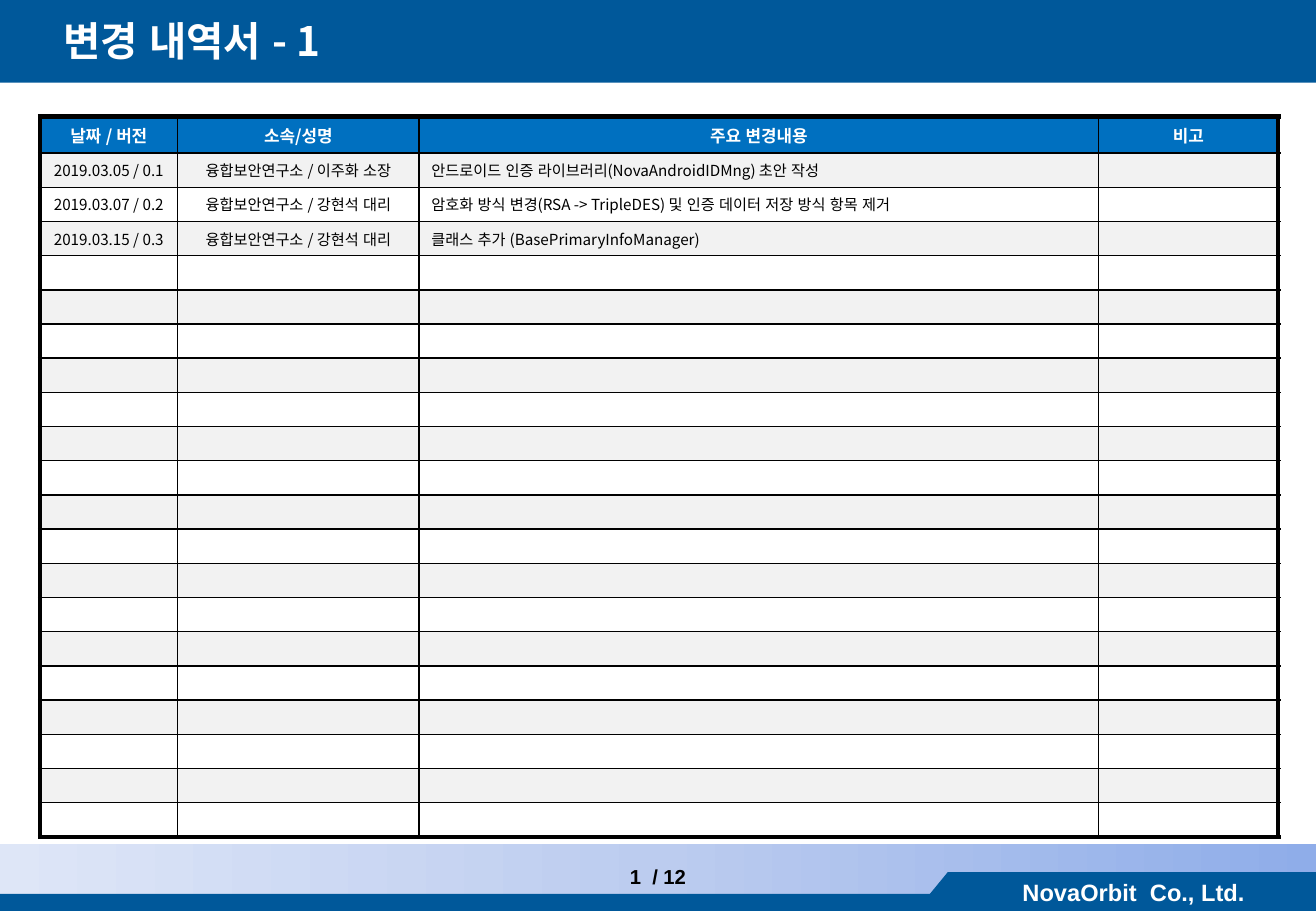
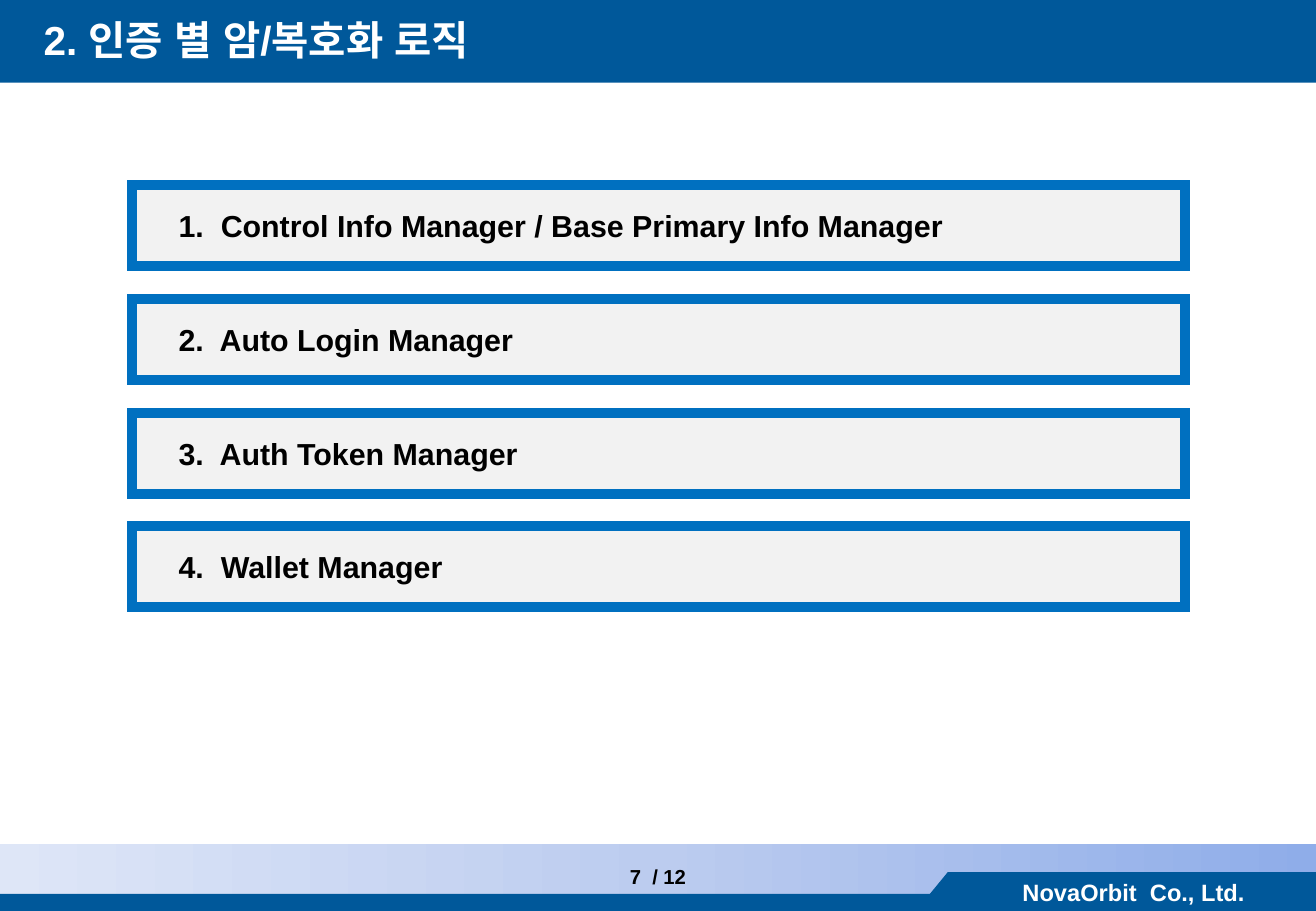
import math
from dataclasses import dataclass

from lxml import etree
from pptx import Presentation
from pptx import util as u
from pptx.dml.color import RGBColor
from pptx.enum import lang, shapes, text
from pptx.oxml.ns import qn

PX = 9144  # 100 px to the inch
COLORS = {
    "band": "00589A",
    "accent": "0070C0",
    "panel": "F2F2F2",
    "white": "FFFFFF",
    "black": "000000",
}
FOOTER_GRADIENT = ((0, "8FADE9"), (50, "BCCCEF"), (100, "DEE6F7"))
LATIN, KOREAN = "Arial", "Noto Sans CJK KR"
SLIDE_WIDTH, SLIDE_HEIGHT = 1083, 750
PAGE_COUNT = 12
COMPANY = "NovaOrbit  Co., Ltd."

COLUMN_WIDTHS = (113, 199, 559, 148)
ROW_COUNT, TABLE_HEIGHT, HEADING_HEIGHT = 21, 593, 30
HEADINGS = ("날짜 / 버전", "소속/성명", "주요 변경내용", "비고")
CHANGES = (
    ("2019.03.05 / 0.1", "융합보안연구소 / 이주화 소장",
     "안드로이드 인증 라이브러리(NovaAndroidIDMng) 초안 작성", ""),
    ("2019.03.07 / 0.2", "융합보안연구소 / 강현석 대리",
     "암호화 방식 변경(RSA -> TripleDES) 및 인증 데이터 저장 방식 항목 제거", ""),
    ("2019.03.15 / 0.3", "융합보안연구소 / 강현석 대리",
     "클래스 추가 (BasePrimaryInfoManager)", ""),
)
MANAGERS = (
    "Control Info Manager / Base Primary Info Manager",
    "Auto Login Manager",
    "Auth Token Manager",
    "Wallet Manager",
)
FIRST_MANAGER_TOP, LAST_MANAGER_TOP = 152, 433


@dataclass(frozen=True)
class Box:
    left: int
    top: int
    width: int
    height: int

    def emu(self) -> tuple[int, ...]:
        return tuple(v * PX for v in (self.left, self.top, self.width, self.height))


@dataclass(frozen=True)
class Style:
    size: int
    color: str
    bold: bool = True
    font: str = LATIN
    align: text.PP_ALIGN = text.PP_ALIGN.LEFT


TITLE = Style(24, "white")
KOREAN_TITLE = Style(24, "white", font=KOREAN)
COMPANY_NAME = Style(14, "white", align=text.PP_ALIGN.CENTER)
PAGE_NUMBER = Style(12, "black", align=text.PP_ALIGN.CENTER)
MANAGER = Style(18, "black")
HEADING = Style(10, "white", font=KOREAN, align=text.PP_ALIGN.CENTER)
CELL = Style(9, "black", bold=False, font=KOREAN)
CENTERED_CELL = Style(9, "black", bold=False, font=KOREAN, align=text.PP_ALIGN.CENTER)


def rgb(name: str) -> RGBColor:
    return RGBColor.from_string(COLORS[name])


def write(frame, content: str, style: Style) -> None:
    paragraph = frame.paragraphs[0]
    paragraph.alignment = style.align
    font = paragraph.font
    font.size, font.bold, font.name = u.Pt(style.size), style.bold, style.font
    font.color.rgb = rgb(style.color)
    font.language_id = lang.MSO_LANGUAGE_ID.KOREAN
    properties = paragraph._p.pPr.find(qn("a:defRPr"))
    etree.SubElement(properties, qn("a:ea"), typeface=KOREAN)
    if content:
        run = paragraph.add_run()
        run.text = content
        run.font.language_id = lang.MSO_LANGUAGE_ID.KOREAN
    else:  # keeps an empty line as low as a written one
        end = etree.SubElement(paragraph._p, qn("a:endParaRPr"), sz=str(style.size * 100))
        for tag in ("a:latin", "a:ea"):
            etree.SubElement(end, qn(tag), typeface=style.font)


def set_frame(frame, left_inset: int = 10, anchor=text.MSO_ANCHOR.MIDDLE) -> None:
    frame.word_wrap = True
    frame.vertical_anchor = anchor
    frame.margin_left = left_inset * PX


def add_text(slide, box: Box, content: str, style: Style, left_inset: int = 10,
             anchor=text.MSO_ANCHOR.MIDDLE) -> None:
    frame = slide.shapes.add_textbox(*box.emu()).text_frame
    set_frame(frame, left_inset, anchor)
    write(frame, content, style)


def paint(shape, color: str):
    shape.shadow.inherit = False
    shape.fill.solid()
    shape.fill.fore_color.rgb = rgb(color)
    shape.line.fill.background()
    return shape


def add_rectangle(slide, box: Box, color: str):
    return paint(slide.shapes.add_shape(shapes.MSO_SHAPE.RECTANGLE, *box.emu()), color)


def set_gradient(shape) -> None:
    shape.fill.gradient()
    shape.fill.gradient_angle = 180
    stops = shape._element.spPr.find(qn("a:gradFill")).find(qn("a:gsLst"))
    for stop in list(stops):
        stops.remove(stop)
    for percent, color in FOOTER_GRADIENT:
        stop = etree.SubElement(stops, qn("a:gs"), pos=str(percent * 1000))
        etree.SubElement(stop, qn("a:srgbClr"), val=color)


def add_framed_slide(presentation, page: int):
    """Add a blank slide with the title band, the footer and its page number."""
    slide = presentation.slides.add_slide(presentation.slide_layouts[6])
    set_gradient(add_rectangle(slide, Box(0, 695, SLIDE_WIDTH, 55), "white"))
    add_rectangle(slide, Box(-1, 0, 1084, 68), "band")
    add_rectangle(slide, Box(-1, 736, 1085, 16), "band")

    slope = slide.shapes.build_freeform(757, 746, scale=PX)
    slope.add_line_segments(((780, 746), (780, 718)), close=True)
    paint(slope.convert_to_shape(), "band")

    company = add_rectangle(slide, Box(780, 718, 306, 33), "band")
    set_frame(company.text_frame)
    write(company.text_frame, COMPANY, COMPANY_NAME)
    add_text(slide, Box(0, 707, SLIDE_WIDTH, 33), f"{page}  / {PAGE_COUNT}",
             PAGE_NUMBER, anchor=text.MSO_ANCHOR.TOP)
    return slide


def set_borders(cell, row: int, column: int) -> None:
    """Rule a cell, with heavier lines along the outside of the table."""
    outer = {
        "a:lnL": column == 0,
        "a:lnR": column == len(COLUMN_WIDTHS) - 1,
        "a:lnT": row == 0,
        "a:lnB": row == ROW_COUNT - 1,
    }
    properties = cell._tc.get_or_add_tcPr()
    for position, (tag, heavy) in enumerate(outer.items()):
        line = etree.Element(qn(tag), w=str(u.Pt(3 if heavy else 1)))
        fill = etree.SubElement(line, qn("a:solidFill"))
        etree.SubElement(fill, qn("a:srgbClr"), val=COLORS["black"])
        properties.insert(position, line)


def add_change_table(slide) -> None:
    box = Box(33, 96, sum(COLUMN_WIDTHS), TABLE_HEIGHT)
    table = slide.shapes.add_table(ROW_COUNT, len(COLUMN_WIDTHS), *box.emu()).table
    for column, width in zip(table.columns, COLUMN_WIDTHS):
        column.width = width * PX
    row_height = (TABLE_HEIGHT - HEADING_HEIGHT) * PX // (ROW_COUNT - 1)
    blank = ("",) * len(COLUMN_WIDTHS)
    filled = (HEADINGS, *CHANGES)
    rows = filled + (blank,) * (ROW_COUNT - len(filled))
    for r, values in enumerate(rows):
        table.rows[r].height = HEADING_HEIGHT * PX if r == 0 else row_height
        color = "accent" if r == 0 else "panel" if r % 2 else "white"
        for c, value in enumerate(values):
            cell = table.cell(r, c)
            cell.vertical_anchor = text.MSO_ANCHOR.MIDDLE
            cell.fill.solid()
            cell.fill.fore_color.rgb = rgb(color)
            set_borders(cell, r, c)
            style = HEADING if r == 0 else CENTERED_CELL if c < 2 else CELL
            write(cell.text_frame, value, style)


def add_manager_list(slide) -> None:
    pitch = (LAST_MANAGER_TOP - FIRST_MANAGER_TOP) / (len(MANAGERS) - 1)
    for index, name in enumerate(MANAGERS):
        top = FIRST_MANAGER_TOP + math.ceil(pitch * index)
        panel = add_rectangle(slide, Box(109, top, 866, 67), "panel")
        panel.line.color.rgb = rgb("accent")
        panel.line.width = u.Pt(6)
        outline = panel._element.spPr.find(qn("a:ln"))
        etree.SubElement(outline, qn("a:miter"), lim="800000")
        set_frame(panel.text_frame, left_inset=38)
        write(panel.text_frame, f"{index + 1}.  {name}", MANAGER)


def main() -> None:
    presentation = Presentation()
    presentation.slide_width = SLIDE_WIDTH * PX
    presentation.slide_height = SLIDE_HEIGHT * PX

    history = add_framed_slide(presentation, 1)
    add_text(history, Box(27, 0, 1055, 67), "변경 내역서 - 1", KOREAN_TITLE, left_inset=25)
    add_change_table(history)

    logic = add_framed_slide(presentation, 7)
    add_text(logic, Box(26, 5, 1055, 55), "2. 인증 별 암/복호화 로직", TITLE)
    add_manager_list(logic)

    presentation.save("out.pptx")


if __name__ == "__main__":
    main()
